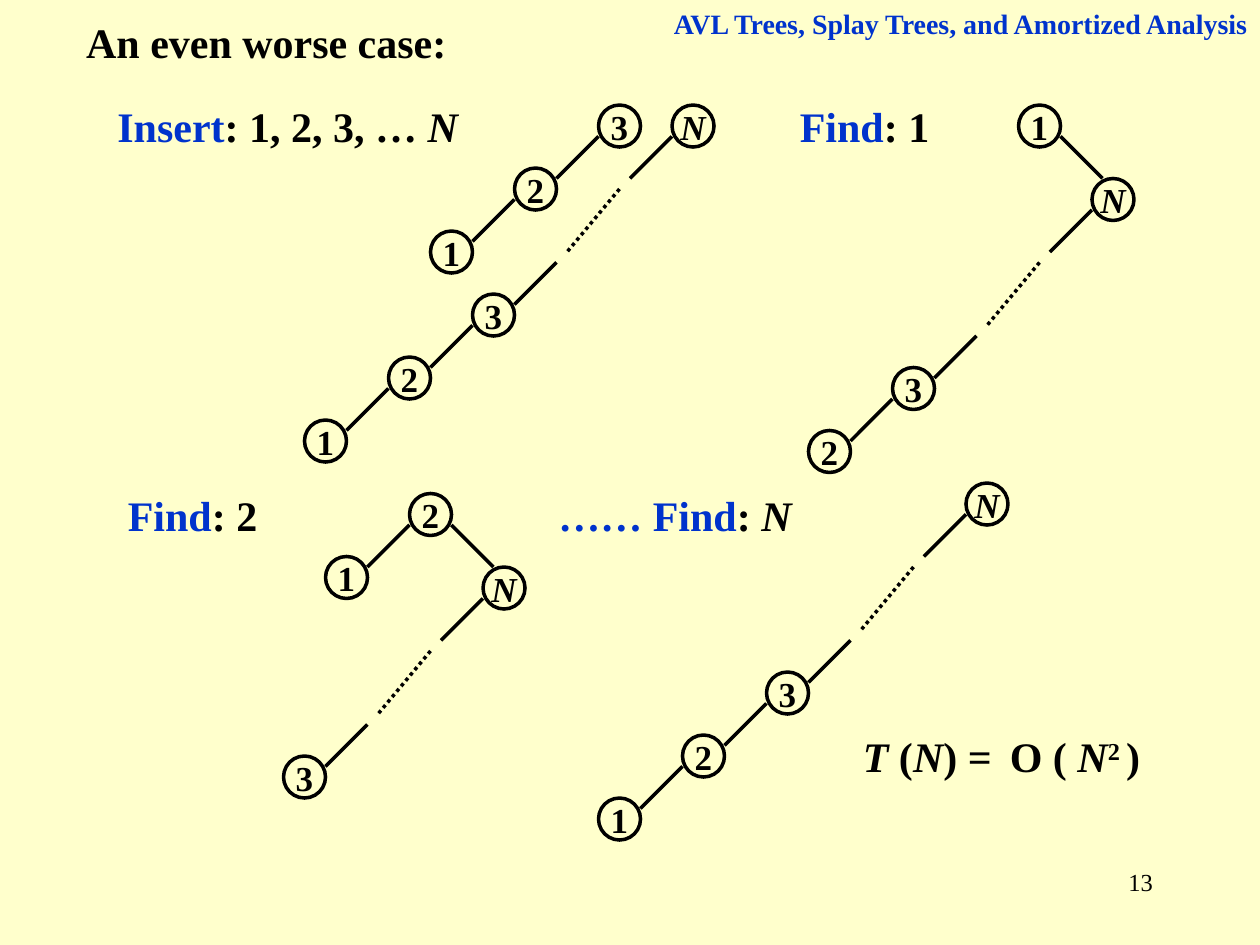
from lxml import etree
from pptx import Presentation
from pptx.dml.color import RGBColor
from pptx.enum.dml import MSO_LINE
from pptx.enum.shapes import MSO_CONNECTOR, MSO_SHAPE
from pptx.enum.text import MSO_ANCHOR, MSO_AUTO_SIZE, PP_ALIGN
from pptx.oxml.ns import qn
from pptx.util import Emu, Pt

LEFT, RIGHT, CENTER = PP_ALIGN.LEFT, PP_ALIGN.RIGHT, PP_ALIGN.CENTER
TOP, MIDDLE = MSO_ANCHOR.TOP, MSO_ANCHOR.MIDDLE
NO_AUTOFIT = MSO_AUTO_SIZE.NONE
OVAL, STRAIGHT = MSO_SHAPE.OVAL, MSO_CONNECTOR.STRAIGHT
DOTTED = MSO_LINE.ROUND_DOT

EMU_PER_PX = 7620  # 120 px to the inch
FONT = "Times New Roman"
COLORS = {"paper": "FFFFCC", "ink": "000000", "accent": "0033CC"}

NODE = 40            # circle diameter
LEFT_CHILD = (-80, 60)
RIGHT_CHILD = (70, 70)
CHAIN_END = (-190, 180)  # from N down to 3, past the dotted part


def px(*lengths):
    return [Emu(length * EMU_PER_PX) for length in lengths]


def color(name):
    return RGBColor.from_string(COLORS[name])


def add_runs(paragraph, runs, size, bold=True):
    """Each run is (text, colour name, style); style is "", "italic" or "super"."""
    for text, ink, style in runs:
        run = paragraph.add_run()
        run.text = text
        font = run.font
        font.name, font.size, font.bold = FONT, Pt(size), bold
        font.italic = style == "italic"
        font.color.rgb = color(ink)
        if style == "super":
            font._element.set("baseline", "30000")


def fill_frame(frame, runs, size, align=LEFT, anchor=TOP, wrap=True, bold=True):
    frame.word_wrap = wrap
    frame.auto_size = NO_AUTOFIT
    frame.vertical_anchor = anchor
    paragraph = frame.paragraphs[0]
    paragraph.alignment = align
    add_runs(paragraph, runs, size, bold)


def add_label(slide, box, runs, size=24, align=LEFT, bold=True):
    label = slide.shapes.add_textbox(*px(*box))
    fill_frame(label.text_frame, runs, size, align, bold=bold)


def add_heading(slide, box, text):
    heading = slide.shapes.title
    heading.left, heading.top, heading.width, heading.height = px(*box)
    fill_frame(heading.text_frame, [(text, "ink", "")], 24)


# Tree parts: every position is the top left corner of a node
def shift(corner, step):
    return corner[0] + step[0], corner[1] + step[1]


def add_node(tree, corner, key):
    node = tree.shapes.add_shape(OVAL, *px(*corner, NODE, NODE))
    node.shadow.inherit = False
    node.fill.background()
    node.line.color.rgb = color("ink")
    node.line.width = Pt(2)
    style = "italic" if key == "N" else ""
    fill_frame(node.text_frame, [(key, "ink", style)], 20, CENTER, MIDDLE, wrap=False)


def add_edge(tree, corner, start, end, dash=None):
    edge = tree.shapes.add_connector(
        STRAIGHT, *px(*shift(corner, start), *shift(corner, end)))
    edge.line.color.rgb = color("ink")
    edge.line.width = Pt(2)
    if dash:
        edge.line.dash_style = dash
    etree.SubElement(edge._element.spPr, qn("a:effectLst"))


def add_left_path(tree, corner, keys):
    """Nodes that each hang to the lower left of the one before."""
    for index, key in enumerate(keys):
        if index:
            add_edge(tree, corner, (0, 30), (-40, 70))
            corner = shift(corner, LEFT_CHILD)
        add_node(tree, corner, key)


def add_long_chain(tree, corner, tail):
    """N, a dotted stretch, then the remaining keys."""
    add_node(tree, corner, "N")
    add_edge(tree, corner, (0, 30), (-40, 70))
    add_edge(tree, corner, (-50, 80), (-100, 140), DOTTED)
    add_edge(tree, corner, (-110, 150), (-150, 190))
    add_left_path(tree, shift(corner, CHAIN_END), tail)


def add_tree(slide, corner, root_path="", tail=""):
    """root_path runs down to the left; a chain, if any, hangs to its right."""
    tree = slide.shapes.add_group_shape()
    if root_path:
        add_left_path(tree, corner, root_path)
    if root_path and tail:
        add_edge(tree, corner, (NODE, 30), (80, 70))
        corner = shift(corner, RIGHT_CHILD)
    if tail:
        add_long_chain(tree, corner, tail)


def add_step(slide, box, command, argument, trees):
    """An operation and the trees it leads to, each placed from the box corner."""
    add_label(slide, box, [(command, "accent", ""), *argument])
    for offset, root_path, tail in trees:
        add_tree(slide, shift(box[:2], offset), root_path, tail)


def add_result(slide, left, top):
    add_label(slide, (left, top, 170, 60), [
        ("T", "ink", "italic"), (" (", "ink", ""),
        ("N", "ink", "italic"), (") =", "ink", "")])
    add_label(slide, (left + 140, top, 180, 60), [
        ("O ( ", "ink", ""), ("N", "ink", "italic"),
        ("2 ", "ink", "super"), (")", "ink", "")])


def main():
    deck = Presentation()
    deck.slide_width, deck.slide_height = px(1200, 900)
    slide = deck.slides.add_slide(deck.slide_layouts[5])
    slide.background.fill.solid()
    slide.background.fill.fore_color.rgb = color("paper")

    # Heading, running header and page number
    add_heading(slide, (70, 10, 490, 60), "An even worse case:")
    add_label(slide, (590, 0, 610, 44),
              [("AVL Trees, Splay Trees, and Amortized Analysis", "accent", "")],
              16, RIGHT)
    add_label(slide, (860, 820, 250, 60), [("13", "ink", "")], 14, RIGHT, bold=False)

    # Operations: box, command, argument, trees (offset, root path, chain tail)
    add_step(slide, (100, 90, 490, 60), "Insert",
             [(": 1, 2, 3, … ", "ink", ""), ("N", "ink", "italic")],
             [((470, 10), "321", ""), ((540, 10), "", "321")])
    add_step(slide, (750, 90, 170, 60), "Find", [(": 1", "ink", "")],
             [((220, 10), "1", "32")])
    add_step(slide, (110, 460, 170, 60), "Find", [(": 2", "ink", "")],
             [((280, 10), "21", "3")])
    add_step(slide, (520, 460, 310, 60), "…… Find",
             [(": ", "ink", ""), ("N", "ink", "italic")],
             [((400, 0), "", "321")])

    add_result(slide, 810, 690)
    deck.save("out.pptx")


if __name__ == "__main__":
    main()
